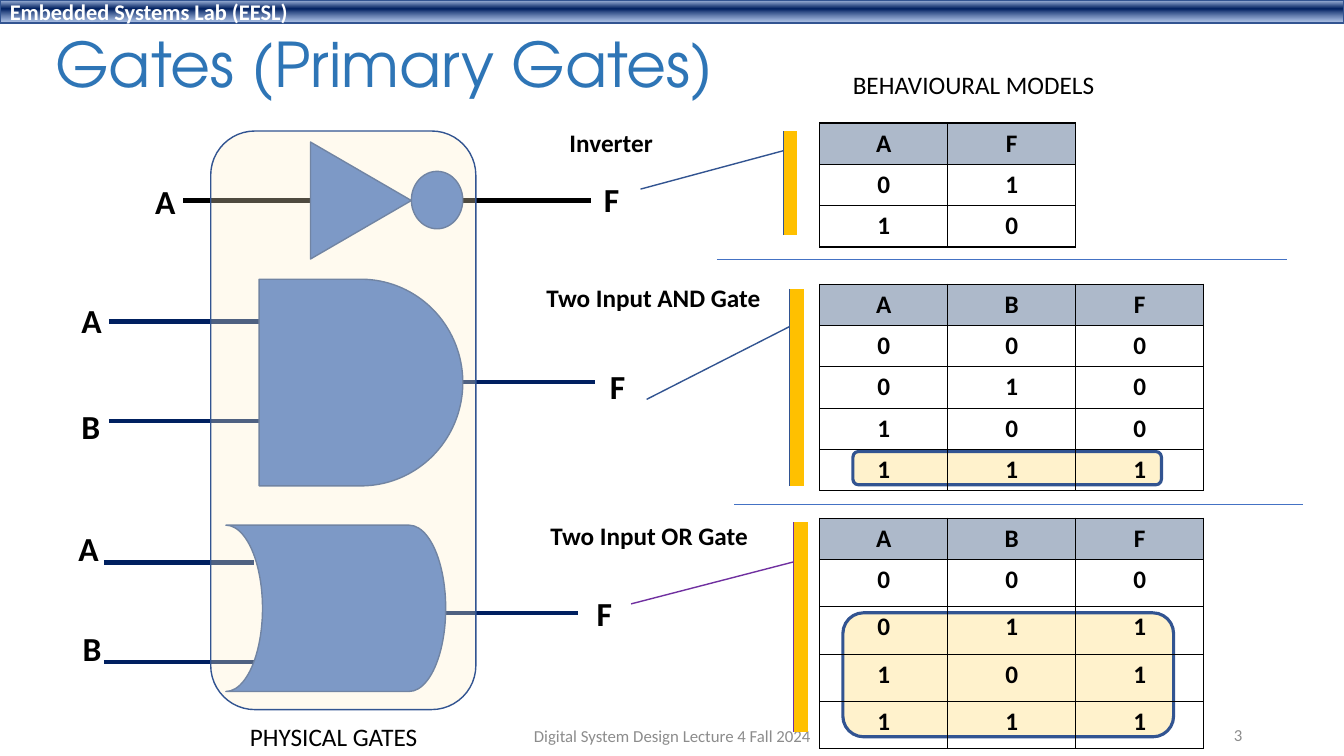
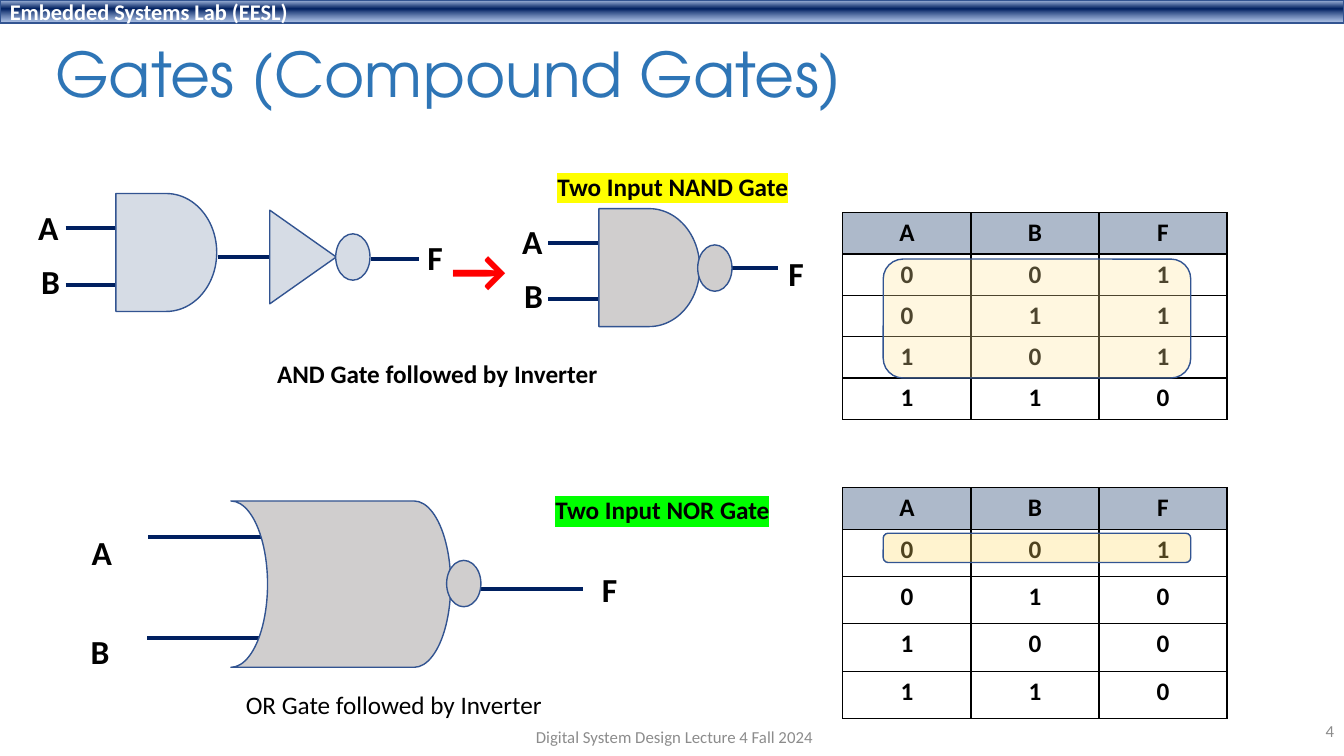
"""Build two slides on primary and compound logic gates with their truth tables."""
from itertools import product

from lxml.etree import SubElement
from pptx import Presentation
from pptx.dml.color import RGBColor
from pptx.enum.shapes import MSO_CONNECTOR, MSO_SHAPE
from pptx.enum.text import MSO_ANCHOR, MSO_AUTO_SIZE, PP_ALIGN
from pptx.oxml import parse_xml
from pptx.oxml.ns import nsdecls, qn
from pptx.util import Emu, Pt

PX = 9144
SLIDE_WIDTH, SLIDE_HEIGHT = 1333, 750
COLUMN_WIDTH = 127

BODY_FONT, TITLE_FONT = "Calibri", "TeX Gyre Adventor"
BLACK = RGBColor(0x00, 0x00, 0x00)
WHITE = RGBColor(0xFF, 0xFF, 0xFF)
NAVY = RGBColor(0x00, 0x20, 0x60)
OUTLINE = RGBColor(0x32, 0x54, 0x91)
BLUE = RGBColor(0x44, 0x72, 0xC4)
TITLE_BLUE = RGBColor(0x2E, 0x75, 0xB6)
PALE_BLUE = RGBColor(0xD6, 0xDC, 0xE5)
HEADER_BLUE = RGBColor(0xAD, 0xB9, 0xCA)
SILVER = RGBColor(0xD0, 0xCE, 0xCE)
GREY = RGBColor(0x8C, 0x8C, 0x8C)
CREAM = RGBColor(0xFF, 0xF2, 0xCC)
SAND = RGBColor(0xFF, 0xE6, 0x99)
GOLD = RGBColor(0xFF, 0xD9, 0x66)
AMBER = RGBColor(0xFF, 0xC0, 0x00)
PURPLE = RGBColor(0x70, 0x30, 0xA0)
RED = RGBColor(0xFF, 0x00, 0x00)
YELLOW = RGBColor(0xFF, 0xFF, 0x00)
GREEN = RGBColor(0x00, 0xFF, 0x00)

AND_BODY = MSO_SHAPE.FLOWCHART_DELAY
OR_BODY = MSO_SHAPE.FLOWCHART_STORED_DATA
TRIANGLE = MSO_SHAPE.ISOSCELES_TRIANGLE
BUBBLE = MSO_SHAPE.OVAL
ROUNDED = MSO_SHAPE.ROUNDED_RECTANGLE
CALLOUT = MSO_SHAPE.LINE_CALLOUT_1_ACCENT_BAR

BAND_TEXT = "Embedded Systems Lab (EESL)"
BAND_STOPS = [(2, "ABC0E4", 100), (38, "002060", 100), (93, "7E9ED6", 64)]
FOOTER_TEXT = "Digital System Design Lecture 4 Fall 2024"

PRIMARY = {
    "title": ("Gates (Primary Gates)", 84),
    "number": ("3", 942, 709),
    "footer": (442, 710),
    "underlays": [
        (ROUNDED, (846, 448, 306, 33), CREAM, {"weight": 2.25}),
        (ROUNDED, (836, 608, 328, 123), CREAM, {"weight": 2.25}),
    ],
    "wires": [
        (NAVY, 3, [(108, 319, 257, 319), (108, 418, 257, 418), (459, 379, 590, 379),
                   (103, 558, 252, 558), (103, 657, 252, 657), (442, 608, 573, 608)]),
        (BLACK, 3, [(182, 199, 308, 199), (459, 199, 586, 199)]),
        (BLUE, 0.5, [(711, 257, 1276, 257), (728, 500, 1292, 500)]),
    ],
    "gates": [
        (AND_BODY, (257, 277, 202, 205), BLUE, {}),
        (OR_BODY, (224, 521, 218, 165), BLUE, {"rotation": 180}),
        (TRIANGLE, (300, 149, 116, 100), BLUE, {"rotation": 90}),
        (BUBBLE, (408, 170, 51, 57), BLUE, {}),
    ],
    "pins": [("A", 144, 175), ("F", 589, 173), ("A", 71, 293), ("B", 71, 398),
             ("F", 595, 358), ("A", 68, 519), ("B", 72, 618), ("F", 582, 583)],
    "captions": [
        ("Inverter", 555, 121, 103, {"bold": True}),
        ("Two Input AND Gate", 532, 275, 235, {"bold": True}),
        ("Two Input OR Gate", 536, 511, 218, {"bold": True}),
        ("PHYSICAL GATES", 238, 711, 188, {}),
        ("BEHAVIOURAL MODELS", 836, 64, 262, {}),
    ],
    "tables": [("A", "10", 813, 122, 41), ("AB", "0001", 813, 282, 41),
               ("AB", "0111", 813, 514, 47)],
    "overlays": [
        (CALLOUT, (778, 130, 13, 103), AMBER, {"adjust": (0.19, -0.08, 0.56, -10.98)}),
        (CALLOUT, (784, 287, 13, 195), AMBER, {"adjust": (0.19, -0.08, 0.56, -10.98)}),
        (CALLOUT, (788, 518, 13, 208), AMBER,
         {"adjust": (0.19, -0.08, 0.39, -12.47), "line": PURPLE}),
        (ROUNDED, (209, 130, 263, 574), CREAM, {"alpha": 31}),
    ],
}

COMPOUND = {
    "title": ("Gates (Compound Gates)", 104),
    "number": ("4", 1033, 705),
    "footer": (444, 711),
    "underlays": [],
    "wires": [
        (NAVY, 3, [(65, 283, 119, 283), (65, 226, 116, 226), (216, 255, 267, 255),
                   (368, 257, 416, 257), (544, 297, 598, 297), (544, 241, 595, 241),
                   (724, 266, 772, 266), (147, 533, 259, 533), (146, 633, 257, 633),
                   (447, 584, 578, 584)]),
    ],
    "gates": [
        (AND_BODY, (115, 192, 100, 117), PALE_BLUE, {}),
        (TRIANGLE, (254, 222, 93, 66), PALE_BLUE, {"rotation": 90}),
        (BUBBLE, (333, 232, 34, 46), PALE_BLUE, {}),
        (AND_BODY, (594, 207, 100, 117), SILVER, {}),
        (BUBBLE, (692, 243, 34, 46), SILVER, {}),
        (OR_BODY, (229, 497, 218, 165), SILVER, {"rotation": 180}),
        (BUBBLE, (443, 556, 34, 46), SILVER, {}),
    ],
    "pins": [("A", 28, 200), ("B", 31, 254), ("F", 414, 230), ("A", 508, 214),
             ("B", 510, 268), ("F", 772, 246), ("A", 81, 523), ("B", 80, 621),
             ("F", 587, 559)],
    "captions": [
        ("Two Input NAND Gate", 543, 165, 251, {"bold": True, "highlight": YELLOW}),
        ("Two Input NOR Gate", 541, 486, 235, {"bold": True, "highlight": GREEN}),
        ("→", 438, 224, 76, {"bold": True, "size": 44, "color": RED}),
        ("AND Gate followed by Inverter", 265, 351, 341, {"bold": True}),
        ("OR Gate followed by Inverter", 234, 679, 317, {}),
    ],
    "tables": [("AB", "1110", 836, 211, 41), ("AB", "1000", 836, 484, 47)],
    "overlays": [
        (ROUNDED, (876, 257, 305, 118), SAND, {"alpha": 30}),
        (ROUNDED, (876, 529, 305, 29), GOLD, {"alpha": 31}),
    ],
}


def px(*lengths):
    return [Emu(length * PX) for length in lengths]


def add_run(paragraph, text, size=18, color=BLACK, bold=False, font=BODY_FONT, highlight=None):
    run = paragraph.add_run()
    run.text = text
    run.font.size = Pt(size)
    run.font.bold = bold
    run.font.color.rgb = color
    if highlight is not None:
        mark = SubElement(run.font._element, qn("a:highlight"))
        SubElement(mark, qn("a:srgbClr"), val=str(highlight))
    run.font.name = font


def add_text(slide, text, box, align=PP_ALIGN.LEFT, anchor=MSO_ANCHOR.TOP, grow=False,
             spacing=None, **style):
    frame = slide.shapes.add_textbox(*px(*box)).text_frame
    frame.word_wrap = not grow
    frame.auto_size = MSO_AUTO_SIZE.SHAPE_TO_FIT_TEXT if grow else MSO_AUTO_SIZE.NONE
    frame.vertical_anchor = anchor
    paragraph = frame.paragraphs[0]
    paragraph.alignment = align
    paragraph.line_spacing = spacing
    add_run(paragraph, text, **style)


def add_shape(slide, kind, box, fill, rotation=0, line=OUTLINE, weight=1, alpha=None, adjust=()):
    shape = slide.shapes.add_shape(kind, *px(*box))
    shape.shadow.inherit = False
    shape.rotation = rotation
    shape.line.color.rgb = line
    shape.line.width = Pt(weight)
    for index, value in enumerate(adjust):
        shape.adjustments[index] = value
    shape.fill.solid()
    shape.fill.fore_color.rgb = fill
    if alpha is not None:
        color = shape._element.spPr.find(qn("a:solidFill")).find(qn("a:srgbClr"))
        SubElement(color, qn("a:alpha"), val=str(alpha * 1000))
    return shape


def add_wire(slide, ends, color, weight):
    wire = slide.shapes.add_connector(MSO_CONNECTOR.STRAIGHT, *px(*ends))
    wire.line.color.rgb = color
    wire.line.width = Pt(weight)
    SubElement(wire._element.spPr, qn("a:effectLst"))


def add_band(slide):
    band = add_shape(slide, MSO_SHAPE.RECTANGLE, (0, 0, SLIDE_WIDTH, 23), NAVY)
    band.fill.gradient()
    band.fill.gradient_angle = 270
    stops = band._element.spPr.find(qn("a:gradFill")).find(qn("a:gsLst"))
    for stop in list(stops):
        stops.remove(stop)
    for position, color, alpha in BAND_STOPS:
        stop = SubElement(stops, qn("a:gs"), pos=str(position * 1000))
        tint = SubElement(stop, qn("a:srgbClr"), val=color)
        SubElement(tint, qn("a:alpha"), val=str(alpha * 1000))
    band.text_frame.vertical_anchor = MSO_ANCHOR.MIDDLE
    paragraph = band.text_frame.paragraphs[0]
    paragraph.alignment = PP_ALIGN.LEFT
    add_run(paragraph, BAND_TEXT, size=16, color=WHITE, bold=True)


def fill_cell(cell, text, is_header):
    if is_header:
        cell.fill.solid()
        cell.fill.fore_color.rgb = HEADER_BLUE
    else:
        cell.fill.background()
    properties = cell._tc.get_or_add_tcPr()
    for index, side in enumerate("LRTB"):
        properties.insert(index, parse_xml(
            f'<a:ln{side} {nsdecls("a")} w="12700"><a:solidFill>'
            f'<a:srgbClr val="{BLACK}"/></a:solidFill></a:ln{side}>'))
    paragraph = cell.text_frame.paragraphs[0]
    paragraph.alignment = PP_ALIGN.CENTER
    add_run(paragraph, text, bold=True)


def add_truth_table(slide, inputs, outputs, left, top, row_height):
    rows = [(*inputs, "F")]
    rows += [(*bits, output) for bits, output in zip(product("01", repeat=len(inputs)), outputs)]
    heights = [41] + [row_height] * len(outputs)
    columns = len(inputs) + 1
    table = slide.shapes.add_table(
        len(rows), columns, *px(left, top, columns * COLUMN_WIDTH, sum(heights))).table
    table.first_row = table.horz_banding = False
    for column in table.columns:
        column.width = Emu(COLUMN_WIDTH * PX)
    for row_index, (texts, height) in enumerate(zip(rows, heights)):
        table.rows[row_index].height = Emu(height * PX)
        for column_index, text in enumerate(texts):
            fill_cell(table.cell(row_index, column_index), text, row_index == 0)


def add_shapes(slide, shapes):
    for kind, box, fill, options in shapes:
        add_shape(slide, kind, box, fill, **options)


def build_slide(presentation, content):
    slide = presentation.slides.add_slide(presentation.slide_layouts[6])
    add_band(slide)
    title, title_height = content["title"]
    add_text(slide, title, (45, 25, 1150, title_height), anchor=MSO_ANCHOR.MIDDLE,
             spacing=0.9, size=44, color=TITLE_BLUE, font=TITLE_FONT)
    add_shapes(slide, content["underlays"])
    for color, weight, wires in content["wires"]:
        for ends in wires:
            add_wire(slide, ends, color, weight)
    add_shapes(slide, content["gates"])
    for text, left, top in content["pins"]:
        width = {"A": 32, "B": 31, "F": 28}[text]
        add_text(slide, text, (left, top, width, 50), grow=True, size=24, bold=True)
    for table in content["tables"]:
        add_truth_table(slide, *table)
    for text, left, top, width, style in content["captions"]:
        height = 84 if style.get("size") == 44 else 40
        add_text(slide, text, (left, top, width, height), grow=True, **style)
    number, left, top = content["number"]
    add_text(slide, number, (left, top, 300, 40), PP_ALIGN.RIGHT, MSO_ANCHOR.MIDDLE,
             size=12, color=GREY)
    add_text(slide, FOOTER_TEXT, (*content["footer"], 450, 40), PP_ALIGN.CENTER,
             MSO_ANCHOR.MIDDLE, size=12, color=GREY)
    add_shapes(slide, content["overlays"])


def main():
    presentation = Presentation()
    presentation.slide_width, presentation.slide_height = px(SLIDE_WIDTH, SLIDE_HEIGHT)
    for content in (PRIMARY, COMPOUND):
        build_slide(presentation, content)
    presentation.save("out.pptx")


if __name__ == "__main__":
    main()
